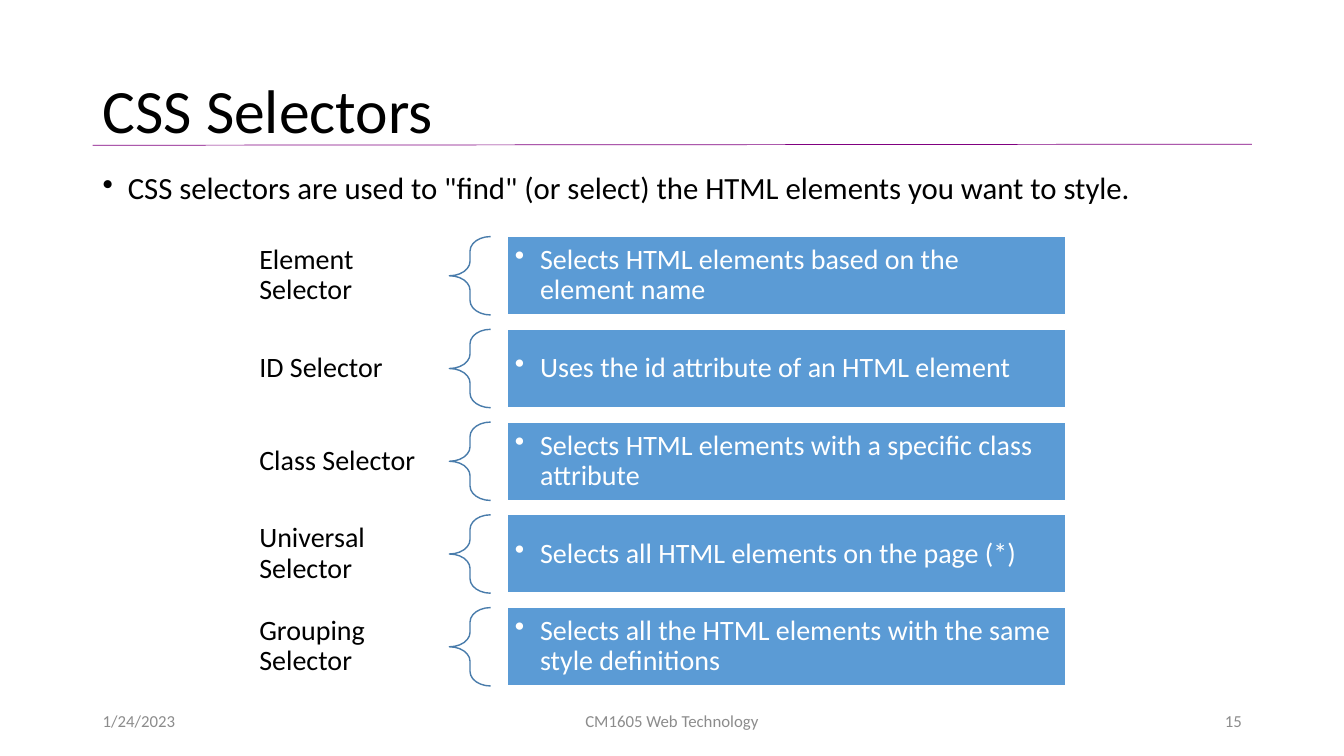
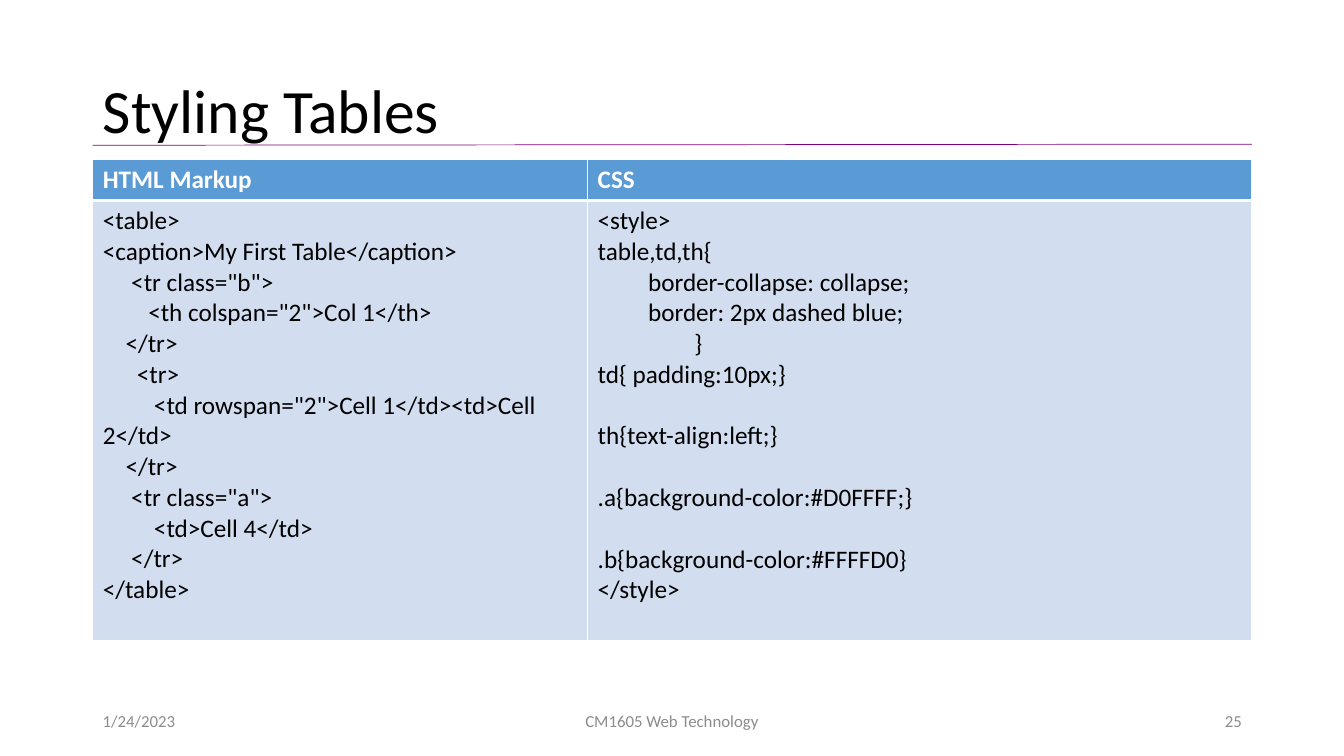
import lxml.etree
import pptx
import pptx.dml.color
import pptx.enum.shapes
import pptx.enum.text
import pptx.oxml.ns
import pptx.util

Pt = pptx.util.Pt
RGBColor = pptx.dml.color.RGBColor
MIDDLE = pptx.enum.text.MSO_ANCHOR.MIDDLE
TOP = pptx.enum.text.MSO_ANCHOR.TOP
LEFT = pptx.enum.text.PP_ALIGN.LEFT
CENTER = pptx.enum.text.PP_ALIGN.CENTER
RIGHT = pptx.enum.text.PP_ALIGN.RIGHT
SHAPES = pptx.enum.shapes.MSO_SHAPE
qn = pptx.oxml.ns.qn

BLACK = RGBColor(0x00, 0x00, 0x00)
WHITE = RGBColor(0xFF, 0xFF, 0xFF)
GREY = RGBColor(0x8C, 0x8C, 0x8C)
PURPLE = RGBColor(0x80, 0x00, 0x80)
BLUE = RGBColor(0x5B, 0x9B, 0xD5)
PALE_BLUE = RGBColor(0xD2, 0xDE, 0xEF)
BRACE_BLUE = RGBColor(0x49, 0x7C, 0xAB)

FONT = "Calibri"
MARGIN = 66.25
CONTENT_WIDTH = 828
CODE_LINE = 22


def write(frame, text, size=18, color=BLACK, bold=False, align=LEFT, anchor=TOP,
          spacing=None, bullet=False, insets=(7.2, 3.6)):
    """Fill a text frame, one paragraph a line; an empty line becomes space before."""
    frame.word_wrap = True
    frame.auto_size = pptx.enum.text.MSO_AUTO_SIZE.NONE
    frame.vertical_anchor = anchor
    frame.margin_left = frame.margin_right = Pt(insets[0])
    frame.margin_top = frame.margin_bottom = Pt(insets[1])
    paragraph, gap = frame.paragraphs[0], 0
    for number, line in enumerate(text.split("\n")):
        if not line:
            gap += CODE_LINE
            continue
        if number:
            paragraph = frame.add_paragraph()
        if gap:
            paragraph.space_before, gap = Pt(gap), 0
        paragraph.alignment = align
        if spacing:
            paragraph.line_spacing = spacing
        if bullet:
            properties = paragraph._p.get_or_add_pPr()
            properties.set("marL", str(Pt(18)))
            properties.set("indent", str(Pt(-18)))
            lxml.etree.SubElement(properties, qn("a:buChar")).set("char", "•")
        run = paragraph.add_run()
        run.text = line
        run.font.name, run.font.size, run.font.bold = FONT, Pt(size), bold
        run.font.color.rgb = color


def add_text(slide, left, top, width, height, text, **text_format):
    box = slide.shapes.add_textbox(Pt(left), Pt(top), Pt(width), Pt(height))
    write(box.text_frame, text, **text_format)


presentation = pptx.Presentation()
presentation.slide_width, presentation.slide_height = Pt(960), Pt(540)
title_only = presentation.slide_layouts[5]

# Title, rule and footer of every slide
slides = []
for title_text, page in (("CSS Selectors", "15"), ("Styling Tables", "25")):
    slide = presentation.slides.add_slide(title_only)
    slides.append(slide)

    rule = slide.shapes.add_connector(
        pptx.enum.shapes.MSO_CONNECTOR.STRAIGHT,
        Pt(MARGIN), Pt(103.75), Pt(MARGIN + CONTENT_WIDTH), Pt(103))
    rule.line.color.rgb, rule.line.width = PURPLE, Pt(0.5)
    lxml.etree.SubElement(rule._element.spPr, qn("a:effectLst"))

    title = slide.shapes.title
    title.left, title.top = Pt(MARGIN), Pt(28.75)
    title.width, title.height = Pt(CONTENT_WIDTH), Pt(104.5)
    write(title.text_frame, title_text, size=44, anchor=MIDDLE, spacing=0.9)

    for left, width, align, text in (
            (MARGIN, 216, LEFT, "1/24/2023"),
            (318, 324, CENTER, "CM1605 Web Technology"),
            (MARGIN + CONTENT_WIDTH - 216, 216, RIGHT, page)):
        add_text(slide, left, 500.5, width, 28.75, text, size=12, color=GREY,
                 align=align, anchor=MIDDLE)

selector_slide, table_slide = slides

# Introduction to the selectors
add_text(selector_slide, MARGIN, 120.25, CONTENT_WIDTH, 40,
         'CSS selectors are used to "find" (or select) the HTML elements you want to style.',
         size=22, spacing=0.9, bullet=True)

# One row for each selector: label, brace, description
SELECTORS = (
    ("Element Selector", "Selects HTML elements based on the element name"),
    ("ID Selector", "Uses the id attribute of an HTML element"),
    ("Class Selector", "Selects HTML elements with a specific class attribute"),
    ("Universal Selector", "Selects all HTML elements on the page (*)"),
    ("Grouping Selector", "Selects all the HTML elements with the same style definitions"),
)
ROW_TOP, ROW_PITCH, ROW_HEIGHT = 169, 66.25, 56
for row, (label, description) in enumerate(SELECTORS):
    top = ROW_TOP + row * ROW_PITCH
    add_text(selector_slide, 174, top, 147, ROW_HEIGHT, label, size=20,
             anchor=MIDDLE, spacing=0.9, insets=(11.25, 4))

    brace = selector_slide.shapes.add_shape(
        SHAPES.LEFT_BRACE, Pt(321), Pt(top), Pt(29.5), Pt(ROW_HEIGHT))
    brace.shadow.inherit = False
    brace.adjustments[0], brace.adjustments[1] = 0.35, 0.5
    brace.fill.background()
    brace.line.color.rgb, brace.line.width = BRACE_BLUE, Pt(1)

    panel = selector_slide.shapes.add_shape(
        SHAPES.RECTANGLE, Pt(362), Pt(top), Pt(399.5), Pt(ROW_HEIGHT))
    panel.shadow.inherit = False
    panel.fill.solid()
    panel.fill.fore_color.rgb = BLUE
    panel.line.color.rgb, panel.line.width = WHITE, Pt(1)
    write(panel.text_frame, description, size=20, color=WHITE, anchor=MIDDLE,
          spacing=0.9, bullet=True, insets=(5.75, 5.75))

# Table with markup and style sheet side by side
HTML_CODE = """<table>
<caption>My First Table</caption>
     <tr class="b">
        <th colspan="2">Col 1</th>
    </tr>
      <tr>
         <td rowspan="2">Cell 1</td><td>Cell 2</td>
    </tr>
     <tr class="a">
         <td>Cell 4</td>
     </tr>
</table>"""
CSS_CODE = """<style>
table,td,th{
\tborder-collapse: collapse;
\tborder: 2px dashed blue;
                 }
td{ padding:10px;}

th{text-align:left;}

.a{background-color:#D0FFFF;}

.b{background-color:#FFFFD0}
</style>"""
CELL_TEXTS = (("HTML Markup", "CSS"), (HTML_CODE, CSS_CODE))
COLUMN_WIDTHS = (353.5, 474.5)
ROW_HEIGHTS = (29.25, 314)

table = table_slide.shapes.add_table(
    2, 2, Pt(MARGIN), Pt(114), Pt(CONTENT_WIDTH), Pt(sum(ROW_HEIGHTS))).table
for column, width in zip(table.columns, COLUMN_WIDTHS):
    column.width = Pt(width)
for row_index, height in enumerate(ROW_HEIGHTS):
    table.rows[row_index].height = Pt(height)
    header = row_index == 0
    heavy_side = "lnB" if header else "lnT"
    for column_index, text in enumerate(CELL_TEXTS[row_index]):
        cell = table.cell(row_index, column_index)
        cell_properties = cell._tc.get_or_add_tcPr()
        for side in ("lnL", "lnR", "lnT", "lnB"):
            border = lxml.etree.SubElement(cell_properties, qn("a:" + side))
            border.set("w", str(Pt(3 if side == heavy_side else 1)))
            border_fill = lxml.etree.SubElement(border, qn("a:solidFill"))
            lxml.etree.SubElement(border_fill, qn("a:srgbClr")).set("val", str(WHITE))
        cell.fill.solid()
        cell.fill.fore_color.rgb = BLUE if header else PALE_BLUE
        write(cell.text_frame, text, color=WHITE if header else BLACK, bold=header)

presentation.save("out.pptx")
